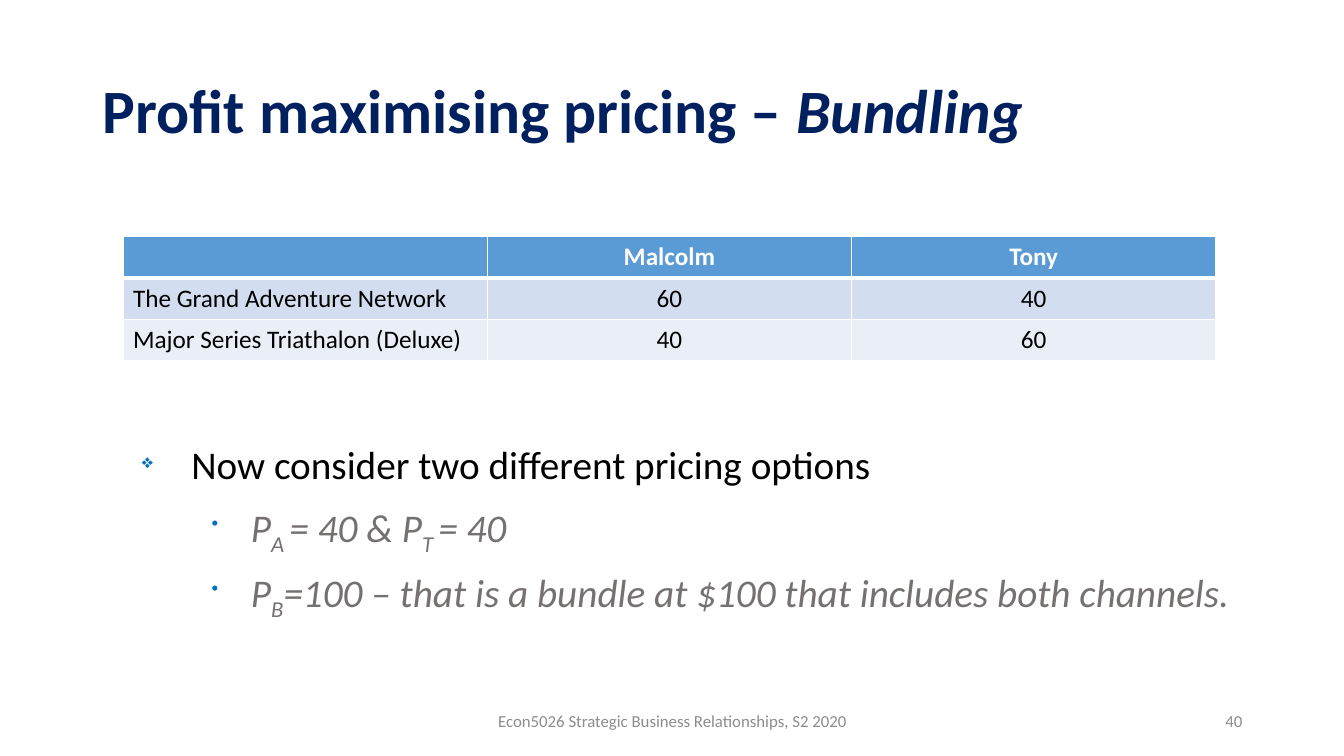
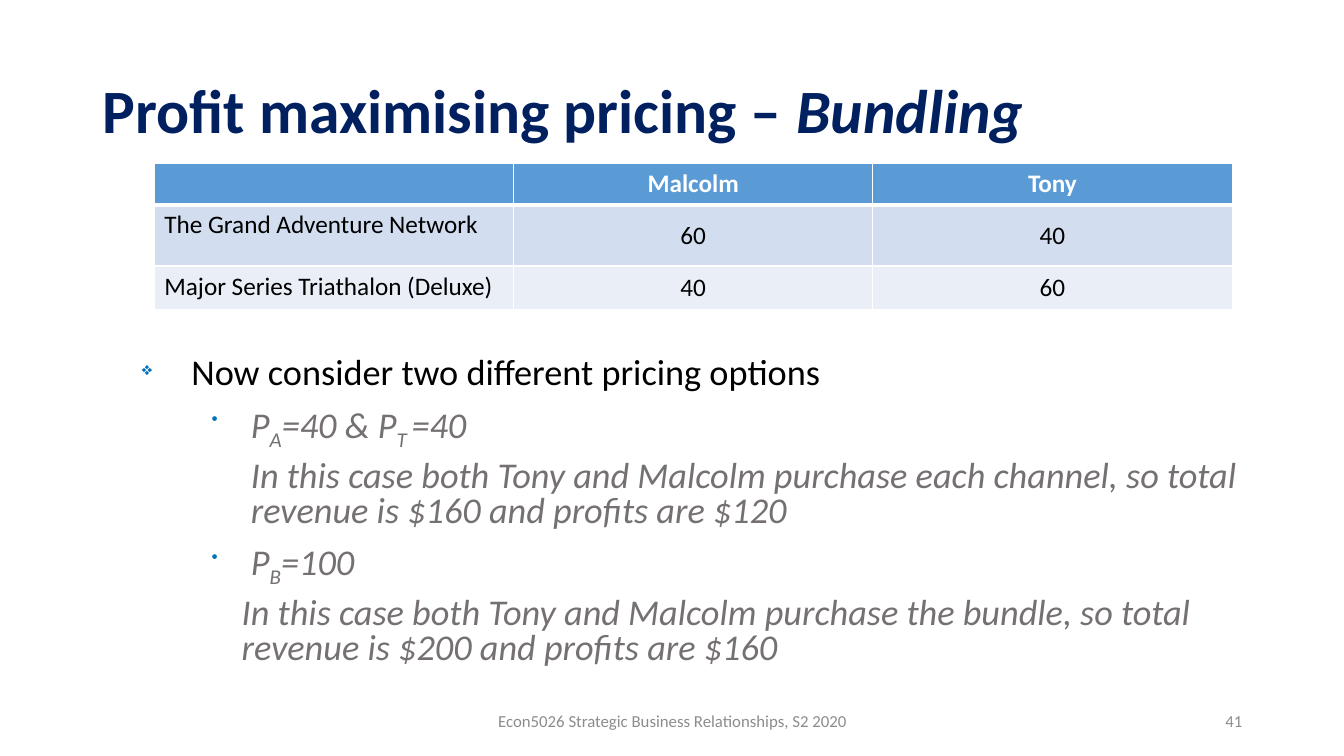
from lxml import etree
from pptx import Presentation
from pptx.dml.color import RGBColor
from pptx.enum.text import MSO_ANCHOR, PP_ALIGN
from pptx.oxml.ns import qn
from pptx.util import Inches, Pt

LEFT, CENTER, RIGHT = PP_ALIGN.LEFT, PP_ALIGN.CENTER, PP_ALIGN.RIGHT
TOP, MIDDLE = MSO_ANCHOR.TOP, MSO_ANCHOR.MIDDLE
TITLE_ONLY = 5

SLIDE_WIDTH, SLIDE_HEIGHT = Inches(13.33), Inches(7.5)
FONT = "Calibri"
NAVY, BLUE, BULLET_BLUE = "002060", "5B9BD5", "0070C0"
WHITE, BLACK, GREY, FOOTER_GREY = "FFFFFF", "000000", "767171", "8C8C8C"
BANDS = ["D2DEEF", "EAEFF7"]

MARGIN, CONTENT_WIDTH, CONTENT_BOTTOM = 6.9, 86.25, 90.13
TITLE_AREA = (MARGIN, 5.33, CONTENT_WIDTH, 19.33)
FOOTER_AREA = (33.16, 92.67, 33.76, 5.33)
NUMBER_AREA = (70.67, 92.67, 22.5, 5.33)

TITLE_FORMAT = {"size": Pt(44), "bold": True}
FOOTER_FORMAT = {"size": Pt(12)}
HEADER_FORMAT = {"size": Pt(18), "bold": True}
VALUE_FORMAT = {"size": Pt(18), "bold": False}

LEVELS = {
    "point": {"indent": (6.6, -3.68), "bullet": "❖", "color": BLACK, "italic": False},
    "option": {"indent": (11.03, -2.93), "bullet": "•", "color": GREY, "italic": True},
    "outcome": {"indent": (11.03, 0), "bullet": None, "color": GREY, "italic": True},
    "last outcome": {"indent": (10.35, 0), "bullet": None, "color": GREY, "italic": True},
}

FOOTER = "Econ5026 Strategic Business Relationships, S2 2020"
VALUATIONS = [
    ["", "Malcolm", "Tony"],
    ["The Grand Adventure Network", "60", "40"],
    ["Major Series Triathalon (Deluxe)", "40", "60"],
]
QUESTION = ["Now consider two different pricing options"]

SLIDES = [
    {
        "number": 40,
        "table": (9.15, 31.33, 81.32),
        "rows": [5.47, 5.47, 5.47],
        "body_top": 57.6,
        "size": 28,
        "spacing": {"point": (1.0, 12), "option": (0.9, 12)},
        "body": [
            ("point", QUESTION),
            ("option", ["P", "A ", "= 40 & P", "T ", "= 40"]),
            ("option", ["P", "B", "=100 – that is a bundle at $100 that includes both channels."]),
        ],
    },
    {
        "number": 41,
        "table": (11.48, 21.6, 80.2),
        "rows": [5.47, 8.13, 5.73],
        "body_top": 46.13,
        "size": 25.9,
        "spacing": {
            "point": (0.9, 6),
            "option": (0.8, 10),
            "outcome": (0.8, 10),
            "last outcome": (0.8, 10),
        },
        "body": [
            ("point", QUESTION),
            ("option", ["P", "A", "=40 & P", "T ", "=40"]),
            ("outcome", ["In this case both Tony and Malcolm purchase each channel, "
                         "so total revenue is $160 and profits are $120"]),
            ("option", ["P", "B", "=100"]),
            ("last outcome", ["In this case both Tony and Malcolm purchase the bundle, "
                              "so total revenue is $200 and profits are $160"]),
        ],
    },
]


def across(percent):
    return int(SLIDE_WIDTH * percent / 100)


def down(percent):
    return int(SLIDE_HEIGHT * percent / 100)


def place(area):
    left, top, width, height = area
    return across(left), down(top), across(width), down(height)


def color(hex_value):
    return RGBColor.from_string(hex_value)


def apply(target, values):
    for name, value in values.items():
        setattr(target, name, value)


def add_run(paragraph, text, hex_value, values):
    run = paragraph.add_run()
    run.text = text
    apply(run.font, {"name": FONT, **values})
    run.font.color.rgb = color(hex_value)
    return run


def add_text_frame(slide, area, anchor):
    frame = slide.shapes.add_textbox(*place(area)).text_frame
    apply(frame, {"word_wrap": True, "vertical_anchor": anchor})
    return frame


def add_title(slide):
    title = slide.shapes.title
    apply(title, dict(zip(("left", "top", "width", "height"), place(TITLE_AREA))))
    apply(title.text_frame, {"word_wrap": True, "vertical_anchor": MIDDLE})
    heading = title.text_frame.paragraphs[0]
    apply(heading, {"alignment": LEFT, "line_spacing": 0.9})
    add_run(heading, "Profit maximising pricing – ", NAVY, TITLE_FORMAT)
    add_run(heading, "Bundling", NAVY, {**TITLE_FORMAT, "italic": True})


def add_footer_text(slide, area, text, alignment):
    paragraph = add_text_frame(slide, area, MIDDLE).paragraphs[0]
    paragraph.alignment = alignment
    add_run(paragraph, text, FOOTER_GREY, FOOTER_FORMAT)


def set_bullet(paragraph, indent, bullet):
    properties = paragraph._p.get_or_add_pPr()
    margin, first_line = indent
    properties.set("marL", str(across(margin)))
    properties.set("indent", str(across(first_line)))
    if bullet is None:
        etree.SubElement(properties, qn("a:buNone"))
        return
    bullet_color = etree.SubElement(properties, qn("a:buClr"))
    etree.SubElement(bullet_color, qn("a:srgbClr"), val=BULLET_BLUE)
    etree.SubElement(properties, qn("a:buSzPct"), val="50000")
    etree.SubElement(properties, qn("a:buChar"), char=bullet)


def add_body(slide, content):
    top = content["body_top"]
    frame = add_text_frame(slide, (MARGIN, top, CONTENT_WIDTH, CONTENT_BOTTOM - top), TOP)
    for index, (level_name, parts) in enumerate(content["body"]):
        level = LEVELS[level_name]
        line_spacing, space_before = content["spacing"][level_name]
        paragraph = frame.add_paragraph() if index else frame.paragraphs[0]
        set_bullet(paragraph, level["indent"], level["bullet"])
        apply(paragraph, {
            "line_spacing": line_spacing,
            "space_before": Pt(space_before if index else 0),
        })
        for position, part in enumerate(parts):
            run = add_run(paragraph, part, level["color"],
                          {"size": Pt(content["size"]), "italic": level["italic"]})
            if position % 2:
                run.font._element.set("baseline", "-25000")


def set_borders(cell, bottom_width):
    properties = cell._tc.get_or_add_tcPr()
    widths = {"a:lnL": 1, "a:lnR": 1, "a:lnT": 1, "a:lnB": bottom_width}
    for position, (side, width) in enumerate(widths.items()):
        line = etree.Element(qn(side), w=str(Pt(width)))
        fill = etree.SubElement(line, qn("a:solidFill"))
        etree.SubElement(fill, qn("a:srgbClr"), val=WHITE)
        properties.insert(position, line)


def fill_cell(cell, text, row, column):
    is_header = row == 0
    cell.fill.solid()
    cell.fill.fore_color.rgb = color(BLUE if is_header else BANDS[(row - 1) % 2])
    cell.vertical_anchor = MIDDLE if row and column else TOP
    set_borders(cell, 3 if is_header else 1)
    if text:
        paragraph = cell.text_frame.paragraphs[0]
        paragraph.alignment = CENTER if column else LEFT
        add_run(paragraph, text, WHITE if is_header else BLACK,
                HEADER_FORMAT if is_header else VALUE_FORMAT)


def add_valuations(slide, content):
    row_heights = content["rows"]
    area = (*content["table"], sum(row_heights))
    column_count = len(VALUATIONS[0])
    table = slide.shapes.add_table(len(VALUATIONS), column_count, *place(area)).table
    for column in table.columns:
        column.width = across(area[2] / column_count)
    for row, values in enumerate(VALUATIONS):
        table.rows[row].height = down(row_heights[row])
        for column, text in enumerate(values):
            fill_cell(table.cell(row, column), text, row, column)


def main():
    deck = Presentation()
    apply(deck, {"slide_width": SLIDE_WIDTH, "slide_height": SLIDE_HEIGHT})
    for content in SLIDES:
        slide = deck.slides.add_slide(deck.slide_layouts[TITLE_ONLY])
        add_title(slide)
        add_body(slide, content)
        add_footer_text(slide, FOOTER_AREA, FOOTER, CENTER)
        add_footer_text(slide, NUMBER_AREA, str(content["number"]), RIGHT)
        add_valuations(slide, content)
    deck.save("out.pptx")


if __name__ == "__main__":
    main()
